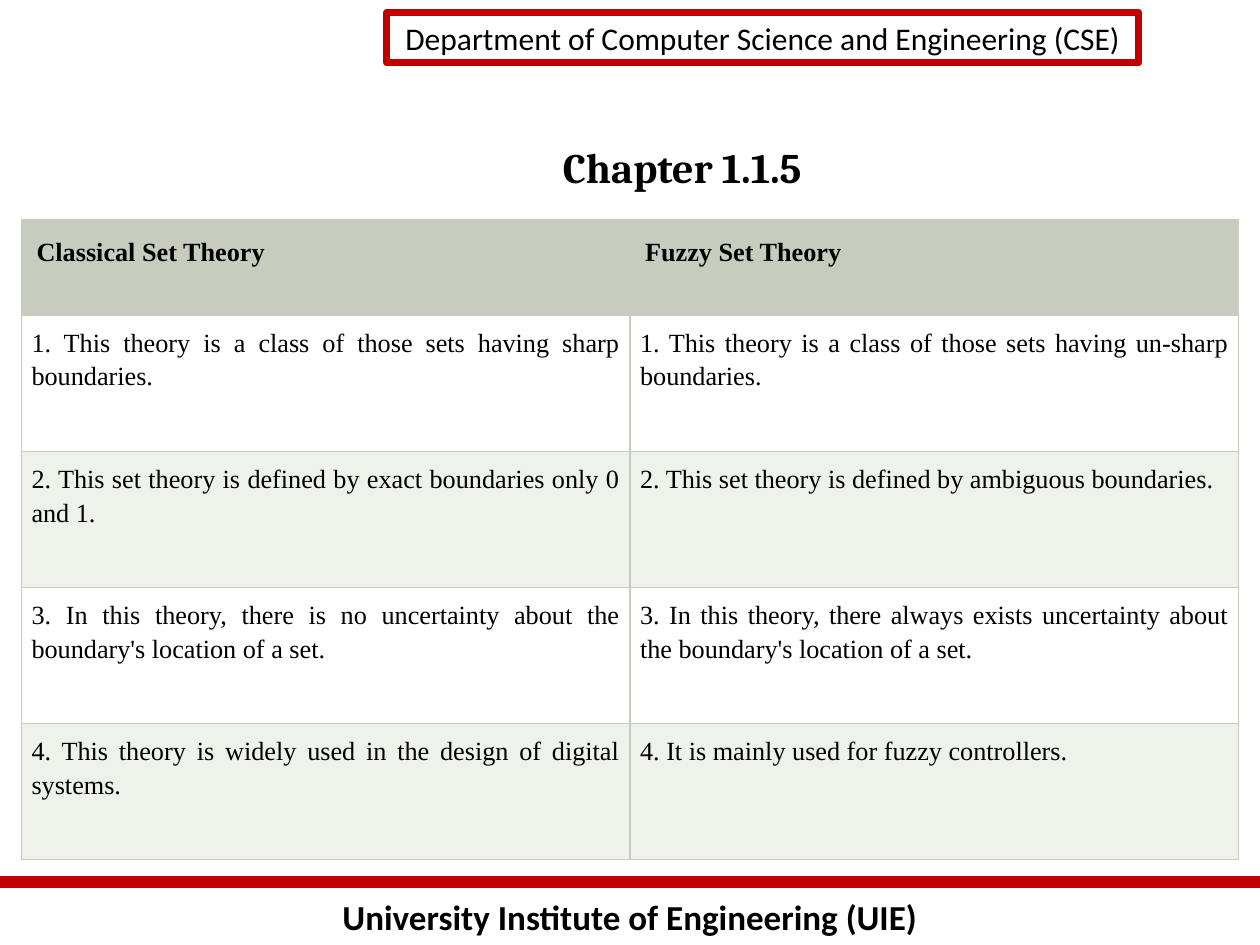
from lxml.etree import SubElement
from pptx import Presentation
from pptx.dml.color import RGBColor
from pptx.enum.shapes import MSO_CONNECTOR, MSO_SHAPE
from pptx.enum.text import MSO_ANCHOR, PP_ALIGN
from pptx.oxml import parse_xml
from pptx.oxml.ns import nsdecls, qn
from pptx.util import Inches, Pt

RED = "C00000"
BLACK = "000000"
SAGE = "C7CCBE"
PALE = "EFF1EB"
WHITE = "FFFFFF"

ROWS = [
    ("Classical Set Theory", "Fuzzy Set Theory"),
    ("1. This theory is a class of those sets having sharp boundaries.",
     "1. This theory is a class of those sets having un-sharp boundaries."),
    ("2. This set theory is defined by exact boundaries only 0 and 1.",
     "2. This set theory is defined by ambiguous boundaries."),
    ("3. In this theory, there is no uncertainty about the boundary's location of a set.",
     "3. In this theory, there always exists uncertainty about the boundary's location of a set."),
    ("4. This theory is widely used in the design of digital systems.",
     "4. It is mainly used for fuzzy controllers."),
]


def color(value):
    return RGBColor.from_string(value)


def write_text(frame, text, font, size, bold=False, align=PP_ALIGN.CENTER):
    frame.word_wrap = True
    frame.text = text
    paragraph = frame.paragraphs[0]
    paragraph.alignment = align
    for span in paragraph.runs:
        span.font.name = font
        span.font.size = Pt(size)
        span.font.bold = bold
        span.font.color.rgb = color(BLACK)
    return paragraph


def add_label(page, left, top, width, height, text, font, size):
    box = page.shapes.add_textbox(Inches(left), Inches(top), Inches(width), Inches(height))
    write_text(box.text_frame, text, font, size, bold=True)
    return box


def add_framed_label(page, left, top, width, height, text):
    box = page.shapes.add_shape(
        MSO_SHAPE.RECTANGLE, Inches(left), Inches(top), Inches(width), Inches(height))
    box.shadow.inherit = False
    box.fill.background()
    box.line.color.rgb = color(RED)
    box.line.width = Pt(4)
    box.text_frame.vertical_anchor = MSO_ANCHOR.TOP
    write_text(box.text_frame, text, "Calibri", 18)


def add_rule(page, left, right, height):
    rule = page.shapes.add_connector(
        MSO_CONNECTOR.STRAIGHT, Inches(left), Inches(height), Inches(right), Inches(height))
    rule.line.color.rgb = color(RED)
    rule.line.width = Pt(7)
    SubElement(rule._element.spPr, qn("a:effectLst"))


def set_borders(cell, value, width):
    properties = cell._tc.get_or_add_tcPr()
    for position, side in enumerate(("lnL", "lnR", "lnT", "lnB")):
        border = parse_xml(
            f'<a:{side} {nsdecls("a")} w="{Pt(width)}"><a:solidFill>'
            f'<a:srgbClr val="{value}"/></a:solidFill></a:{side}>')
        properties.insert(position, border)


def format_cell(cell, text, row):
    header = row == 0
    margin = Inches(0.12 if header else 0.08)
    cell.margin_left = cell.margin_right = margin
    cell.margin_top = cell.margin_bottom = margin
    cell.fill.solid()
    cell.fill.fore_color.rgb = color(SAGE if header else WHITE if row % 2 else PALE)
    align = PP_ALIGN.LEFT if header else PP_ALIGN.JUSTIFY
    paragraph = write_text(cell.text_frame, text, "Times New Roman", 15, header, align)
    paragraph.line_spacing = 1.15
    paragraph.space_after = Pt(10)
    set_borders(cell, SAGE, 0.75)


def add_comparison(page, left, top, column_width, heights):
    table = page.shapes.add_table(
        len(ROWS), 2, Inches(left), Inches(top),
        Inches(2 * column_width), Inches(sum(heights))).table
    for column in table.columns:
        column.width = Inches(column_width)
    for row, texts in enumerate(ROWS):
        table.rows[row].height = Inches(heights[row])
        for column, text in enumerate(texts):
            format_cell(table.cell(row, column), text, row)


def main():
    deck = Presentation()
    deck.slide_width = Inches(10)
    deck.slide_height = Inches(7.5)
    page = deck.slides.add_slide(deck.slide_layouts[6])
    add_label(page, 0, 7.06, 10, 0.44, "University Institute of Engineering (UIE)", "Calibri", 20)
    add_rule(page, 0, 10, 7)
    add_framed_label(page, 3.07, 0.1, 5.97, 0.4,
                     "Department of Computer Science and Engineering (CSE)")
    title = add_label(page, 1.08, 1.17, 8.67, 0.67, "Chapter 1.1.5", "Cambria", 24)
    title.text_frame.vertical_anchor = MSO_ANCHOR.MIDDLE
    title.text_frame.margin_bottom = Inches(0.42)
    add_comparison(page, 0.17, 1.74, 4.83, [0.76] + [1.08] * 4)
    deck.save("out.pptx")


if __name__ == "__main__":
    main()
